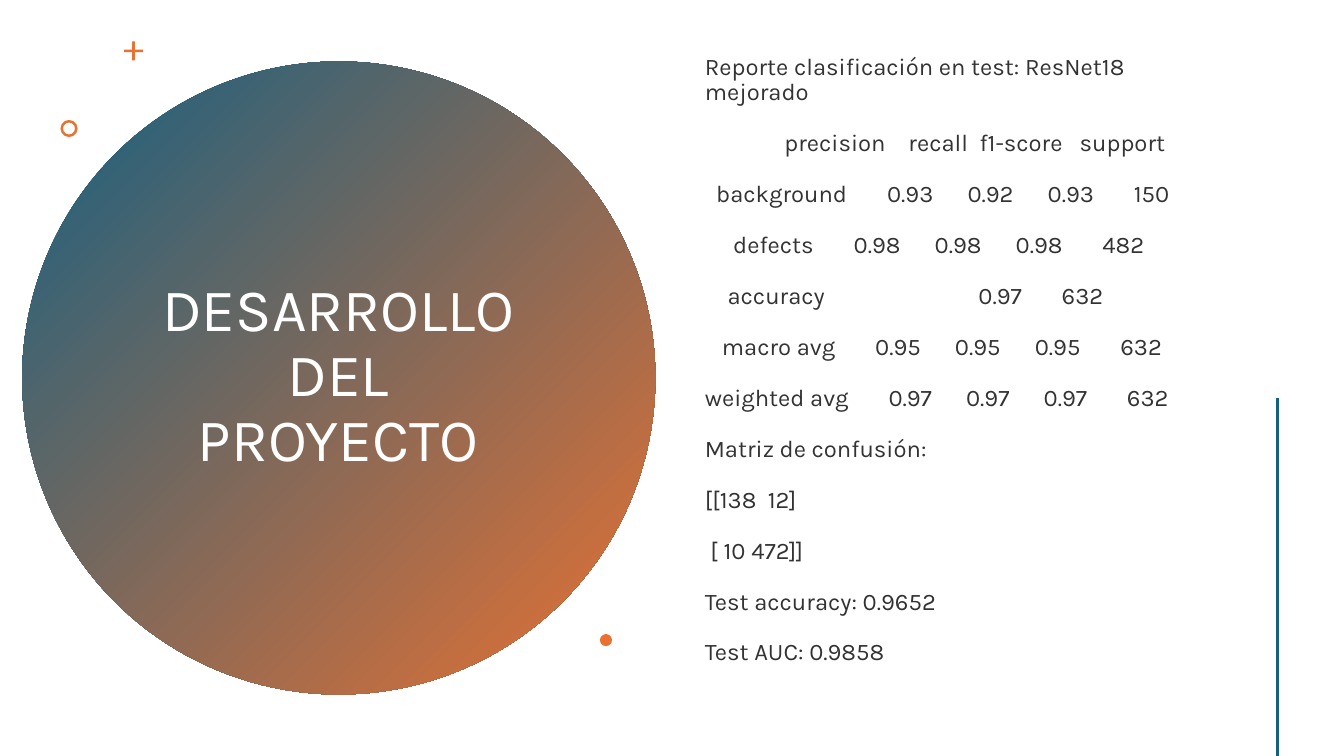
from pptx import Presentation
from pptx import util as u
from pptx.dml.color import RGBColor
from pptx.enum import shapes, text
from pptx.oxml.ns import qn
from lxml import etree

THEME = dict(font="Karla", title=43, body=17, blue="156082",
             orange="E97132", white="FFFFFF", ink="333333")
W, H = 13.33, 7.5
STEP = 4.06  # points in one column of the report
WIDE = (7, 6, 6, 7)

# Each row: indent in columns, words, columns between the words
ROWS = [
    (0, ["Reporte clasificación en test: ResNet18 mejorado"], ()),
    (14, ["precision", "recall", "f1-score", "support"], (4, 2, 3)),
    (2, ["background", "0.93", "0.92", "0.93", "150"], WIDE),
    (5, ["defects", "0.98", "0.98", "0.98", "482"], WIDE),
    (4, ["accuracy", "0.97", "632"], (27, 7)),
    (3, ["macro avg", "0.95", "0.95", "0.95", "632"], WIDE),
    (0, ["weighted avg", "0.97", "0.97", "0.97", "632"], WIDE),
    (0, ["Matriz de confusión:"], ()),
    (0, ["[[138", "12]"], (2,)),
    (1, ["[ 10 472]]"], ()),
    (0, ["Test accuracy: 0.9652"], ()),
    (0, ["Test AUC: 0.9858"], ()),
]


def color(name):
    return RGBColor.from_string(THEME[name])


def style(par, size, ink):
    par.line_spacing = 0.9
    par.font.name = THEME["font"]
    par.font.size = u.Pt(THEME[size])
    par.font.color.rgb = color(ink)


prs = Presentation()
prs.slide_width, prs.slide_height = u.Inches(W), u.Inches(H)
slide = prs.slides.add_slide(prs.slide_layouts[1])
title, body = slide.placeholders

# Title and the circle behind it
disc = slide.shapes.add_shape(shapes.MSO_SHAPE.OVAL, *map(u.Inches, (0.22, 0.61, 6.28, 6.28)))
disc.shadow.inherit = False
disc.line.fill.background()
disc.fill.gradient()
disc.fill.gradient_angle = 315
for stop, name in zip(disc.fill.gradient_stops, ("blue", "orange")):
    stop.color.rgb = color(name)
title._element.addprevious(disc._element)

title.left, title.top, title.width, title.height = map(u.Inches, (1.36, 1.41, 3.99, 4.67))
frame = title.text_frame
frame.text = "DESARROLLO DEL PROYECTO"
frame.auto_size = text.MSO_AUTO_SIZE.NONE
frame.vertical_anchor = text.MSO_ANCHOR.MIDDLE
frame.paragraphs[0].alignment = text.PP_ALIGN.CENTER
style(frame.paragraphs[0], "title", "white")

# Report: one space between words, tracked out to the width of its columns
body.left, body.top, body.width, body.height = map(u.Inches, (6.89, 0.57, 5.22, 6.38))
frame = body.text_frame
frame.text = "\n".join(words[0] for _, words, _ in ROWS)
frame.auto_size = text.MSO_AUTO_SIZE.NONE
frame.vertical_anchor = text.MSO_ANCHOR.MIDDLE
frame.margin_bottom = u.Inches(0.42)
for par, (indent, words, gaps) in zip(frame.paragraphs, ROWS):
    for gap, word in zip(gaps, words[1:]):
        space = par.add_run()
        space.text = " "
        space._r.get_or_add_rPr().set("spc", str(round((gap - 1) * STEP * 100)))
        par.add_run().text = word
    par.space_before, par.space_after = u.Pt(10), u.Pt(8)
    props = par._p.get_or_add_pPr()
    props.set("marL", "0")
    props.set("indent", str(u.Pt(indent * STEP)))
    etree.SubElement(props, qn("a:buNone"))
    style(par, "body", "ink")

# Small ornaments: shape, left, top, size, adjustment
for kind, x, y, size, adjust in (
    (shapes.MSO_SHAPE.CROSS, 1.23, 0.41, 0.19, 0.43),
    (shapes.MSO_SHAPE.DONUT, 0.6, 1.19, 0.17, 0.15),
    (shapes.MSO_SHAPE.OVAL, 5.95, 6.29, 0.12, None),
):
    mark = slide.shapes.add_shape(kind, *map(u.Inches, (x, y, size, size)))
    mark.shadow.inherit = False
    mark.fill.solid()
    mark.fill.fore_color.rgb = color("orange")
    mark.line.fill.background()
    if adjust:
        mark.adjustments[0] = adjust

rule = slide.shapes.add_connector(
    shapes.MSO_CONNECTOR.STRAIGHT, *map(u.Inches, (12.67, 3.95, 12.67, H)))
rule.line.color.rgb = color("blue")
rule.line.width = u.Pt(2)
etree.SubElement(rule._element.spPr, qn("a:effectLst"))

prs.save("out.pptx")
